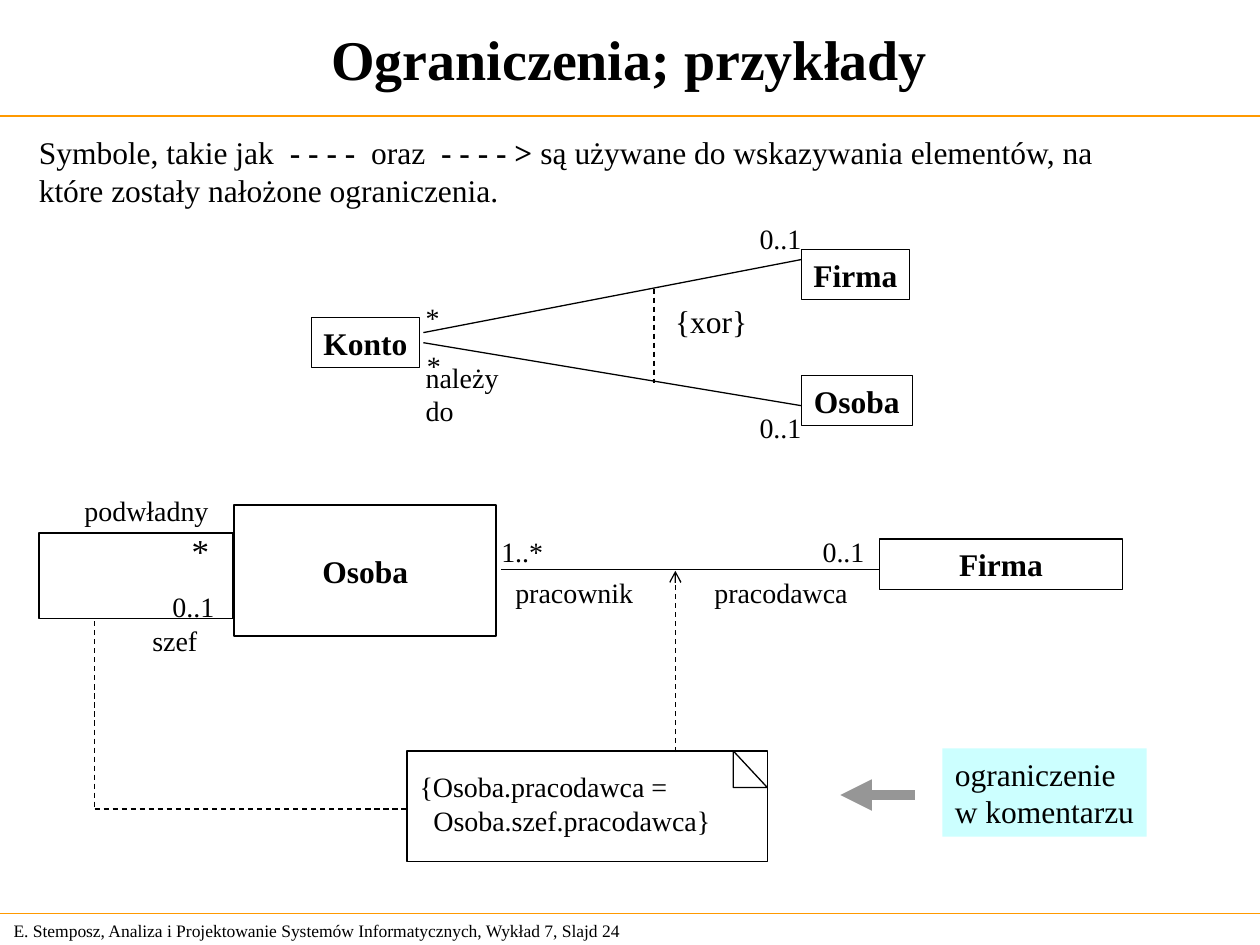
from lxml.etree import SubElement
from pptx import Presentation
from pptx.dml.color import RGBColor
from pptx.enum.dml import MSO_LINE
from pptx.enum.shapes import MSO_CONNECTOR, MSO_SHAPE
from pptx.enum.text import MSO_ANCHOR, PP_ALIGN
from pptx.oxml.ns import qn
from pptx.util import Inches, Pt

COLORS = {"ink": "000000", "rule": "FF9900", "arrow": "969696", "callout": "CCFFFF"}
FONT = "Times New Roman"
LEFT, CENTER, JUSTIFY = PP_ALIGN.LEFT, PP_ALIGN.CENTER, PP_ALIGN.JUSTIFY
TOP, MIDDLE = MSO_ANCHOR.TOP, MSO_ANCHOR.MIDDLE


def rgb(name):
    return RGBColor.from_string(COLORS[name])


class Diagram:
    """Holds the slide's shapes and draws its text, boxes and lines."""

    def __init__(self, slide):
        self.shapes = slide.shapes

    def set_text(self, sp, paragraphs, size, bold=False, align=LEFT, anchor=TOP,
                 wrap=False, inset=(0.1, 0.05), indents=()):
        """Fill a shape with paragraphs, each a string or a list of (text, bold)."""
        tf = sp.text_frame
        across, down = map(Inches, inset)
        frame = {"word_wrap": wrap, "vertical_anchor": anchor,
                 "margin_left": across, "margin_right": across,
                 "margin_top": down, "margin_bottom": down}
        for name, value in frame.items():
            setattr(tf, name, value)
        for i, runs in enumerate(paragraphs):
            p = tf.paragraphs[0] if i == 0 else tf.add_paragraph()
            p.alignment = align
            if i < len(indents):
                p._p.get_or_add_pPr().set("marL", str(Inches(indents[i])))
            for text, strong in [(runs, bold)] if isinstance(runs, str) else runs:
                r = p.add_run()
                r.text = text
                for name, value in {"name": FONT, "size": Pt(size), "bold": strong}.items():
                    setattr(r.font, name, value)
                r.font.color.rgb = rgb("ink")

    def text(self, box, *paragraphs, size=16, **style):
        sp = self.shapes.add_textbox(*map(Inches, box))
        self.set_text(sp, paragraphs, size, **style)

    def box(self, box, *paragraphs, kind=MSO_SHAPE.RECTANGLE, fill=None,
            width=0.75, **style):
        sp = self.shapes.add_shape(kind, *map(Inches, box))
        sp.shadow.inherit = False
        if fill:
            sp.fill.solid()
            sp.fill.fore_color.rgb = rgb(fill)
            sp.line.fill.background()
        else:
            sp.fill.background()
            sp.line.color.rgb = rgb("ink")
            sp.line.width = Pt(width)
        if paragraphs:
            self.set_text(sp, paragraphs, 18, **style)

    def line(self, start, end, color="ink", width=0.75, dashed=False, tip=None):
        """Draw a straight line; tip is the kind of arrowhead at its end."""
        cx = self.shapes.add_connector(MSO_CONNECTOR.STRAIGHT,
                                       *map(Inches, (*start, *end)))
        cx.line.color.rgb = rgb(color)
        cx.line.width = Pt(width)
        if dashed:
            cx.line.dash_style = MSO_LINE.DASH
        if tip:
            SubElement(cx.line._get_or_add_ln(), qn("a:tailEnd"), type=tip)
        SubElement(cx._element.spPr, qn("a:effectLst"))


def draw_frame(d):
    d.text((0.01, 7.25, 5.24, 0.27),
           "E. Stemposz, Analiza i Projektowanie Systemów Informatycznych, Wykład 7, Slajd 24",
           size=10, anchor=MIDDLE, wrap=True)
    for y in (0.92, 7.25):
        d.line((0, y), (10, y), color="rule")
    d.text((0, 0, 9.99, 0.92), "Ograniczenia; przykłady", size=32, bold=True,
           align=CENTER, anchor=MIDDLE, wrap=True)
    d.text((0.21, 1.01, 8.64, 0.7),
           [("Symbole, takie jak  ", False), ("- - - -", True), ("  oraz  ", False),
            ("- - - - >", True), (" są używane do wskazywania elementów, na", False)],
           "które zostały nałożone ograniczenia.", size=18, align=JUSTIFY)


def draw_xor_example(d):
    classes = (("Konto", 2.47, 2.52, 0.86), ("Firma", 6.36, 1.98, 0.86),
               ("Osoba", 6.36, 2.98, 0.88))
    for name, x, y, w in classes:
        d.box((x, y, w, 0.4), name, bold=True, align=CENTER, anchor=MIDDLE)
    d.line((3.36, 2.64), (6.36, 2.06))
    d.line((3.36, 2.72), (6.36, 3.22))
    d.line((5.19, 2.29), (5.19, 3.04), dashed=True)
    d.text((5.26, 2.35, 0.77, 0.4), "{xor}", size=18)
    labels = (("należy do", 3.28, 2.81, 1.05), ("0..1", 5.93, 1.71, 0.53),
              ("0..1", 5.93, 3.21, 0.53), ("*", 3.28, 2.34, 0.31), ("*", 3.29, 2.72, 0.31))
    for label, x, y, w in labels:
        d.text((x, y, w, 0.37), label)


def draw_employment_example(d):
    d.box((0.31, 4.23, 1.54, 0.68))
    d.box((6.98, 4.28, 1.93, 0.4), "Firma", width=1, bold=True, align=CENTER, wrap=True)
    d.box((1.86, 4.01, 2.08, 1.04), "Osoba", width=1, bold=True, align=CENTER,
          anchor=MIDDLE, wrap=True)
    d.line((3.98, 4.52), (6.98, 4.52), width=1)

    for label, x, y in (("0..1", 6.43, 4.19), ("1..*", 3.88, 4.19), ("0..1", 1.27, 4.63)):
        d.text((x, y, 0.53, 0.37), label, align=CENTER)
    d.text((1.42, 4.15, 0.34, 0.44), "*", size=20, align=CENTER)
    roles = (("pracownik", 4.09, 4.57, 0.94), ("pracodawca", 5.67, 4.57, 1.06),
             ("podwładny", 0.67, 3.92, 0.99), ("szef", 1.21, 4.95, 0.36))
    for role, x, y, w in roles:
        d.text((x, y, w, 0.27), role, inset=(0, 0))


def draw_comment(d):
    d.line((0.75, 4.93), (0.75, 6.42), dashed=True)
    d.line((0.75, 6.42), (3.23, 6.42), dashed=True)
    d.line((5.36, 5.97), (5.36, 4.53), dashed=True, tip="arrow")
    d.box((3.23, 5.96, 2.86, 0.88))
    d.box((5.82, 5.96, 0.27, 0.29), kind=MSO_SHAPE.RIGHT_TRIANGLE)
    d.text((3.33, 6.11, 2.31, 0.53), "{Osoba.pracodawca =", "Osoba.szef.pracodawca}",
           inset=(0, 0), indents=(0, 0.11))
    d.box((7.48, 5.94, 1.62, 0.7), "ograniczenie", "w komentarzu", fill="callout")
    d.line((7.26, 6.31), (6.67, 6.31), color="arrow", width=6, tip="triangle")


def main():
    prs = Presentation()
    prs.slide_width, prs.slide_height = Inches(10), Inches(7.5)
    d = Diagram(prs.slides.add_slide(prs.slide_layouts[6]))
    for draw in (draw_frame, draw_xor_example, draw_employment_example, draw_comment):
        draw(d)
    prs.save("out.pptx")


if __name__ == "__main__":
    main()
